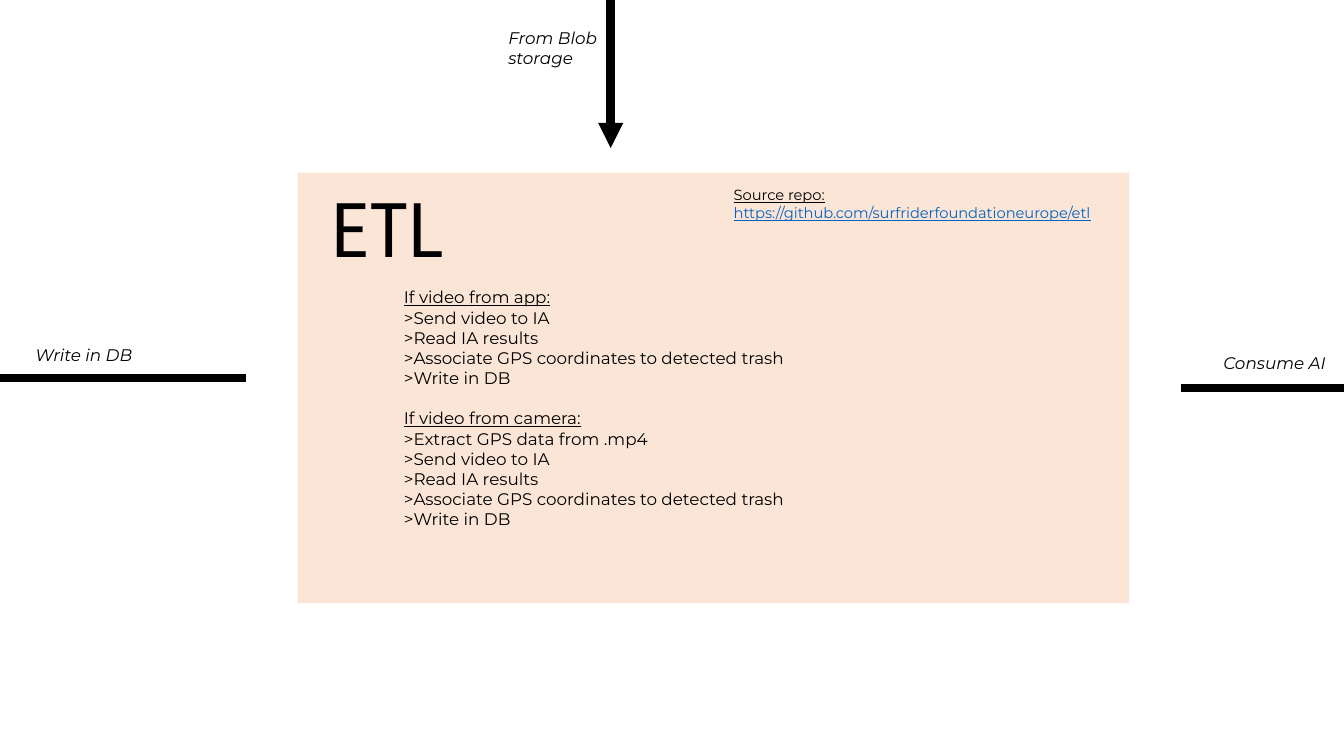
import pptx
import pptx.util
import pptx.dml.color
import pptx.enum.shapes
import pptx.oxml
import pptx.oxml.ns

Cm = pptx.util.Cm
Pt = pptx.util.Pt
BLACK = pptx.dml.color.RGBColor(0x00, 0x00, 0x00)
PEACH = pptx.dml.color.RGBColor(0xFB, 0xE5, 0xD6)
LINK_BLUE = pptx.dml.color.RGBColor(0x05, 0x63, 0xC1)

prs = pptx.Presentation()
prs.slide_width = Cm(33.87)
prs.slide_height = Cm(19.05)
s = prs.slides.add_slide(prs.slide_layouts[6])


def add_text(tf, text, size=12, font="Montserrat", color=BLACK,
             italic=False, underline=False, before=0):
    p = tf.paragraphs[0]
    if p.runs:
        p = tf.add_paragraph()
    if before:
        p.space_before = Pt(before)
    r = p.add_run()
    r.text = text
    r.font.size = Pt(size)
    r.font.name = font
    r.font.color.rgb = color
    r.font.italic = italic
    r.font.underline = underline


def add_box(left, top, width, height):
    tf = s.shapes.add_textbox(Cm(left), Cm(top), Cm(width), Cm(height)).text_frame
    tf.word_wrap = True
    return tf


panel = s.shapes.add_shape(pptx.enum.shapes.MSO_SHAPE.RECTANGLE,
                           Cm(7.5), Cm(4.35), Cm(20.96), Cm(10.85))
panel.shadow.inherit = False
panel.fill.solid()
panel.fill.fore_color.rgb = PEACH
panel.line.fill.background()

common_steps = [">Send video to IA", ">Read IA results",
                ">Associate GPS coordinates to detected trash", ">Write in DB"]
cases = [
    ("If video from app:", common_steps, 0),
    ("If video from camera:", [">Extract GPS data from .mp4"] + common_steps, 14.5),
]
tf = add_box(9.93, 7.11, 13.6, 6.4)
for heading, steps, gap in cases:
    add_text(tf, heading, underline=True, before=gap)
    for step in steps:
        add_text(tf, step)

for label, left, top, height in [
    ("From Blob storage", 12.56, 0.58, 1.28),
    ("Consume AI", 30.58, 8.76, 0.77),
    ("Write in DB", 0.64, 8.56, 0.77),
]:
    add_text(add_box(left, top, 4.37, height), label, italic=True)

add_text(add_box(8.1, 4.45, 9.5, 2.56), "ETL", size=54, font="Roboto Condensed")

tf = add_box(18.24, 4.57, 11.53, 1.14)
add_text(tf, "Source repo:", size=10.5, underline=True)
add_text(tf, "https://github.com/surfriderfoundationeurope/etl",
         size=10.5, color=LINK_BLUE, underline=True)

for x1, y1, x2, y2 in [
    (15.39, -0.25, 15.39, 3.73),
    (29.75, 9.78, 34.95, 9.78),
    (6.2, 9.52, -1.14, 9.52),
]:
    arrow = s.shapes.add_connector(pptx.enum.shapes.MSO_CONNECTOR.STRAIGHT,
                                   Cm(x1), Cm(y1), Cm(x2), Cm(y2))
    arrow.line.color.rgb = BLACK
    arrow.line.width = Pt(6)
    ln = arrow.line._get_or_add_ln()
    pptx.oxml.ns.qn("a:tailEnd")
    tail = pptx.oxml.parse_xml(
        '<a:tailEnd xmlns:a="http://schemas.openxmlformats.org/drawingml/2006/main" type="triangle"/>')
    ln.append(tail)
    effects = pptx.oxml.parse_xml(
        '<a:effectLst xmlns:a="http://schemas.openxmlformats.org/drawingml/2006/main"/>')
    ln.addnext(effects)

prs.save("out.pptx")
